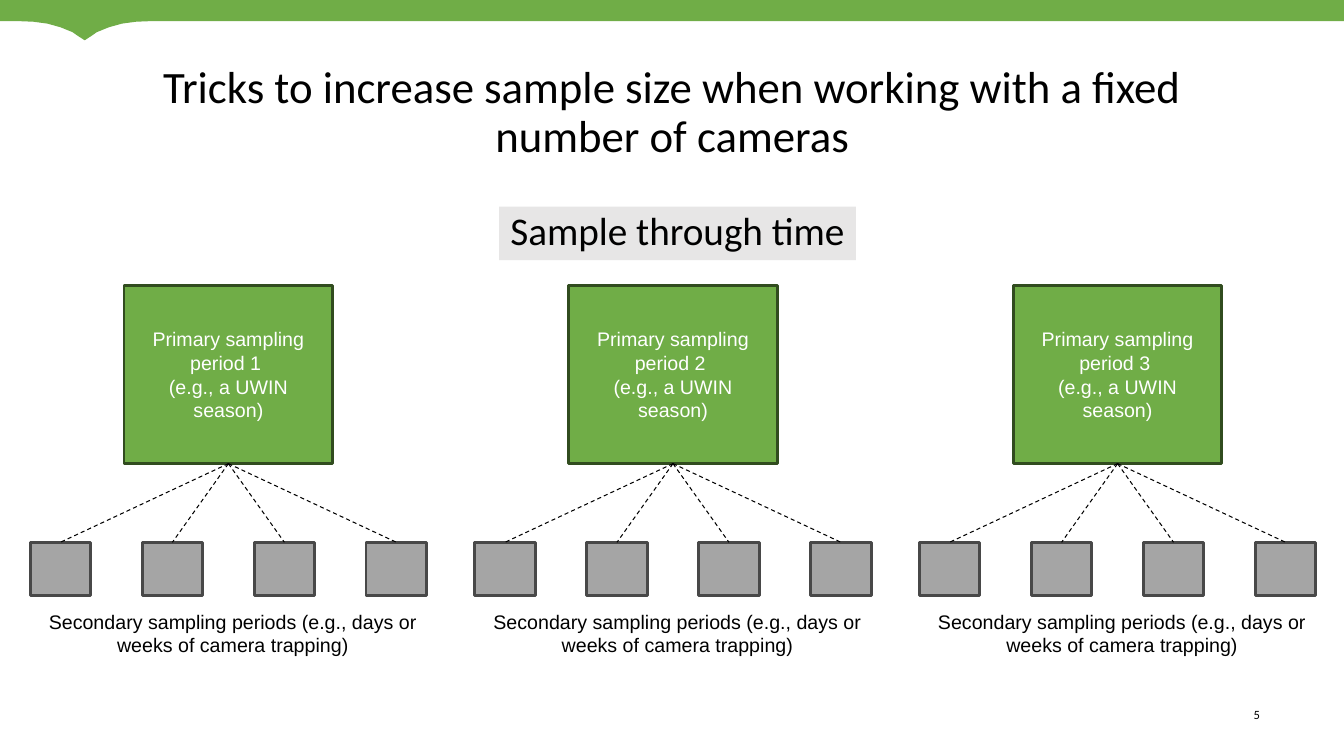
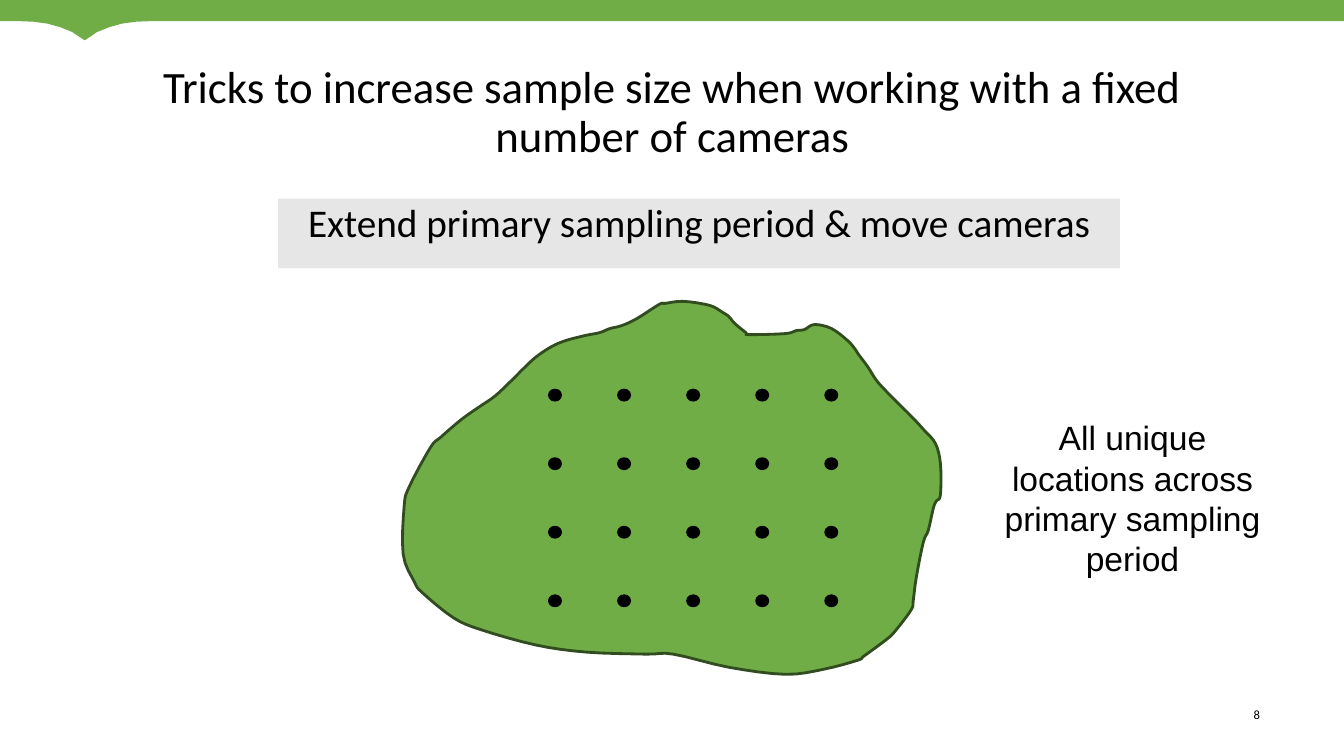
import copy

import pptx
import pptx.dml.color
import pptx.enum.dml
import pptx.enum.shapes
import pptx.enum.text
import pptx.oxml
import pptx.oxml.ns
import pptx.util

RGBColor = pptx.dml.color.RGBColor
GREEN = RGBColor(0x70, 0xAD, 0x47)
DARK_GREEN = RGBColor(0x31, 0x4C, 0x1F)
GRAY = RGBColor(0xA5, 0xA5, 0xA5)
DARK_GRAY = RGBColor(0x48, 0x48, 0x48)
PALE_GRAY = RGBColor(0xE7, 0xE6, 0xE6)
BLACK = RGBColor(0, 0, 0)
WHITE = RGBColor(0xFF, 0xFF, 0xFF)

HEADING_FONT, BODY_FONT = "Calibri", "Arial"
SLIDE_WIDTH, SLIDE_HEIGHT = pptx.util.Inches(13.333), pptx.util.Inches(7.5)
GRID = pptx.util.Inches(0.01)  # outlines lie on a fine grid of columns and rows

RECTANGLE = pptx.enum.shapes.MSO_SHAPE.RECTANGLE
OVAL = pptx.enum.shapes.MSO_SHAPE.OVAL
ALIGN = pptx.enum.text.PP_ALIGN
ANCHOR = pptx.enum.text.MSO_ANCHOR

TITLE = "Tricks to increase sample size when working with a fixed number of cameras"

# Band: half of the notch as (distance from its tip, depth)
NOTCH_TIP = 84
NOTCH = [(66, 21), (51, 21.6), (37, 23.5), (24, 27.1), (12, 32), (7, 35.5), (0, 40)]

# Study region, clockwise from its upper left
REGION = [
    (617, 323), (632, 316), (654, 302), (660, 301), (678, 299), (704, 303),
    (717, 310), (723, 314), (729, 321), (740, 330), (743, 332), (779, 331),
    (790, 328), (798, 327), (808, 322), (825, 326), (841, 338), (848, 346),
    (852, 352), (861, 364), (870, 378), (883, 392), (905, 414), (917, 427),
    (928, 440), (933, 460), (933, 491), (929, 497), (926, 504), (921, 526),
    (916, 538), (909, 573), (906, 596), (904, 605), (889, 625), (880, 634),
    (857, 651), (851, 655), (817, 664), (779, 669), (723, 662), (668, 649),
    (641, 649), (582, 647), (532, 640), (478, 625), (450, 613), (419, 588),
    (411, 577), (400, 550), (401, 502), (406, 483), (427, 444), (437, 434),
    (458, 416), (475, 404), (491, 393), (507, 378), (520, 365), (532, 354),
    (547, 344), (561, 338), (580, 333), (595, 330), (605, 326),
]


def area(left, top, width, height):
    """Turn percentages of the slide into lengths."""
    return (int(SLIDE_WIDTH * left / 100), int(SLIDE_HEIGHT * top / 100),
            int(SLIDE_WIDTH * width / 100), int(SLIDE_HEIGHT * height / 100))


def write(holder, text, *, size, font=BODY_FONT, color=BLACK, align=ALIGN.CENTER,
          anchor=ANCHOR.TOP, spacing=None, inset=None):
    frame = holder.text_frame
    frame.word_wrap = True
    frame.vertical_anchor = anchor
    if inset is not None:
        frame.margin_left = frame.margin_right = inset
        frame.margin_top = frame.margin_bottom = inset
    paragraph = frame.paragraphs[0]
    paragraph.text = text
    paragraph.alignment = align
    if spacing:
        paragraph.line_spacing = spacing
    for run in paragraph.runs:
        run.font.size = pptx.util.Pt(size)
        run.font.name = font
        run.font.color.rgb = color
    # Line breaks take the format of the text around them
    for line_break in paragraph._p.findall(pptx.oxml.ns.qn("a:br")):
        line_break.insert(0, copy.deepcopy(paragraph.runs[0]._r.rPr))


def paint(shape, fill, line=None):
    shape.shadow.inherit = False
    shape.fill.solid()
    shape.fill.fore_color.rgb = fill
    if line is None:
        shape.line.fill.background()
    else:
        shape.line.color.rgb = line
        shape.line.width = pptx.util.Pt(2)
    return shape


def add_box(shapes, place, fill, line=None, kind=RECTANGLE):
    return paint(shapes.add_shape(kind, *area(*place)), fill, line)


def add_text(shapes, place, text, **style):
    write(shapes.add_textbox(*area(*place)), text, **style)


def add_outline(shapes, points, fill, line=None):
    corners = [(round(x * GRID), round(y * GRID)) for x, y in points]
    builder = shapes.build_freeform(*corners[0])
    builder.add_line_segments(corners[1:], close=True)
    return paint(builder.convert_to_shape(), fill, line)


def smooth(points, steps=4):
    """Run a closed Catmull-Rom curve through the points."""
    curve = []
    for i, (b, c) in enumerate(zip(points, points[1:] + points[:1])):
        a, d = points[i - 1], points[(i + 2) % len(points)]
        for step in range(steps):
            t = step / steps
            curve.append(tuple(
                q + t * (r - p + t * (2 * p - 5 * q + 4 * r - s
                                      + t * (3 * q - p - 3 * r + s))) / 2
                for p, q, r, s in zip(a, b, c, d)))
    return curve


def add_dashed_link(shapes, parent, child):
    link = shapes.add_connector(pptx.enum.shapes.MSO_CONNECTOR.STRAIGHT, 0, 0, 0, 0)
    link.begin_connect(parent, 2)
    link.end_connect(child, 0)
    link.line.color.rgb = BLACK
    link.line.width = pptx.util.Pt(0.75)
    link.line.dash_style = pptx.enum.dml.MSO_LINE.DASH
    link._element.spPr.append(pptx.oxml.parse_xml(
        "<a:effectLst %s/>" % pptx.oxml.ns.nsdecls("a")))


def add_framed_slide(deck, number, subtitle, subtitle_place):
    """Add a slide with the band, number, title and subtitle."""
    slide = deck.slides.add_slide(deck.slide_layouts[6])
    shapes = slide.shapes
    add_text(shapes, (90.3, 93.47, 3.45, 2), str(number), size=9,
             font=HEADING_FONT, align=ALIGN.RIGHT, inset=0)
    right_half = [(NOTCH_TIP + x, y) for x, y in NOTCH]
    left_half = [(NOTCH_TIP - x, y) for x, y in reversed(NOTCH[:-1])]
    add_outline(shapes, [(-1, 0), (1334, 0), (1334, 21), *right_half,
                         *left_half, (-1, 21)], GREEN)
    add_text(shapes, (6.9, 5.33, 86.25, 19.33), TITLE, size=32,
             font=HEADING_FONT, anchor=ANCHOR.MIDDLE, spacing=0.9)
    write(add_box(shapes, subtitle_place, PALE_GRAY), subtitle, size=28,
          font=HEADING_FONT, spacing=0.9)
    return slide


def add_period(slide, number, left):
    """Draw one primary period with its four secondary periods."""
    shapes = slide.shapes.add_group_shape().shapes
    primary = add_box(shapes, (left + 6.98, 37.73, 15.53, 23.6), GREEN, DARK_GREEN)
    write(primary, f"Primary sampling period {number} \n(e.g., a UWIN season)",
          size=14, color=WHITE, anchor=ANCHOR.MIDDLE)
    for column in range(4):
        secondary = add_box(shapes, (left + 8.33 * column, 71.73, 4.5, 7.07),
                            GRAY, DARK_GRAY)
        add_dashed_link(shapes, primary, secondary)
    add_text(shapes, (left, 80, 30.15, 7.6),
             "Secondary sampling periods (e.g., days or weeks of camera trapping)",
             size=14)


def add_time_slide(deck):
    slide = add_framed_slide(deck, 5, "Sample through time",
                             (37.13, 27.33, 26.55, 7.07))
    for column in range(3):
        add_period(slide, column + 1, 2.25 + 33.08 * column)


def add_space_slide(deck):
    slide = add_framed_slide(deck, 8, "Extend primary sampling period & move cameras",
                             (20.7, 26.27, 62.63, 9.2))
    add_outline(slide.shapes, smooth(REGION), GREEN, DARK_GREEN)
    # Camera locations
    for row in range(4):
        for column in range(5):
            add_box(slide.shapes, (40.88 + 5.14 * column, 51.6 + 9.07 * row, 0.83, 1.33),
                    BLACK, BLACK, OVAL)
    add_text(slide.shapes, (72.9, 54.53, 22.73, 22.93),
             "All unique locations across primary sampling period", size=24)


def main():
    deck = pptx.Presentation()
    deck.slide_width, deck.slide_height = SLIDE_WIDTH, SLIDE_HEIGHT
    add_time_slide(deck)
    add_space_slide(deck)
    deck.save("out.pptx")


if __name__ == "__main__":
    main()
